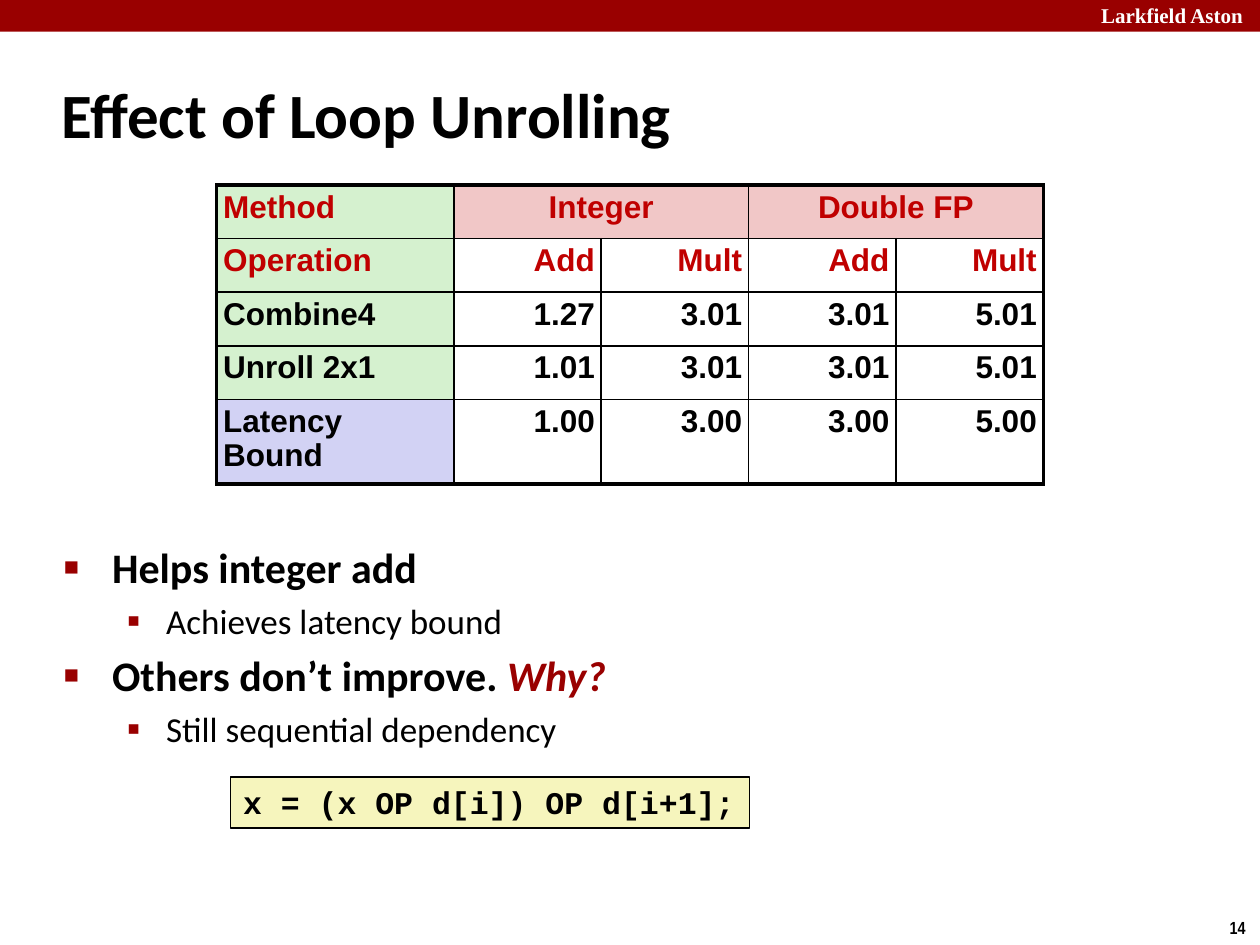
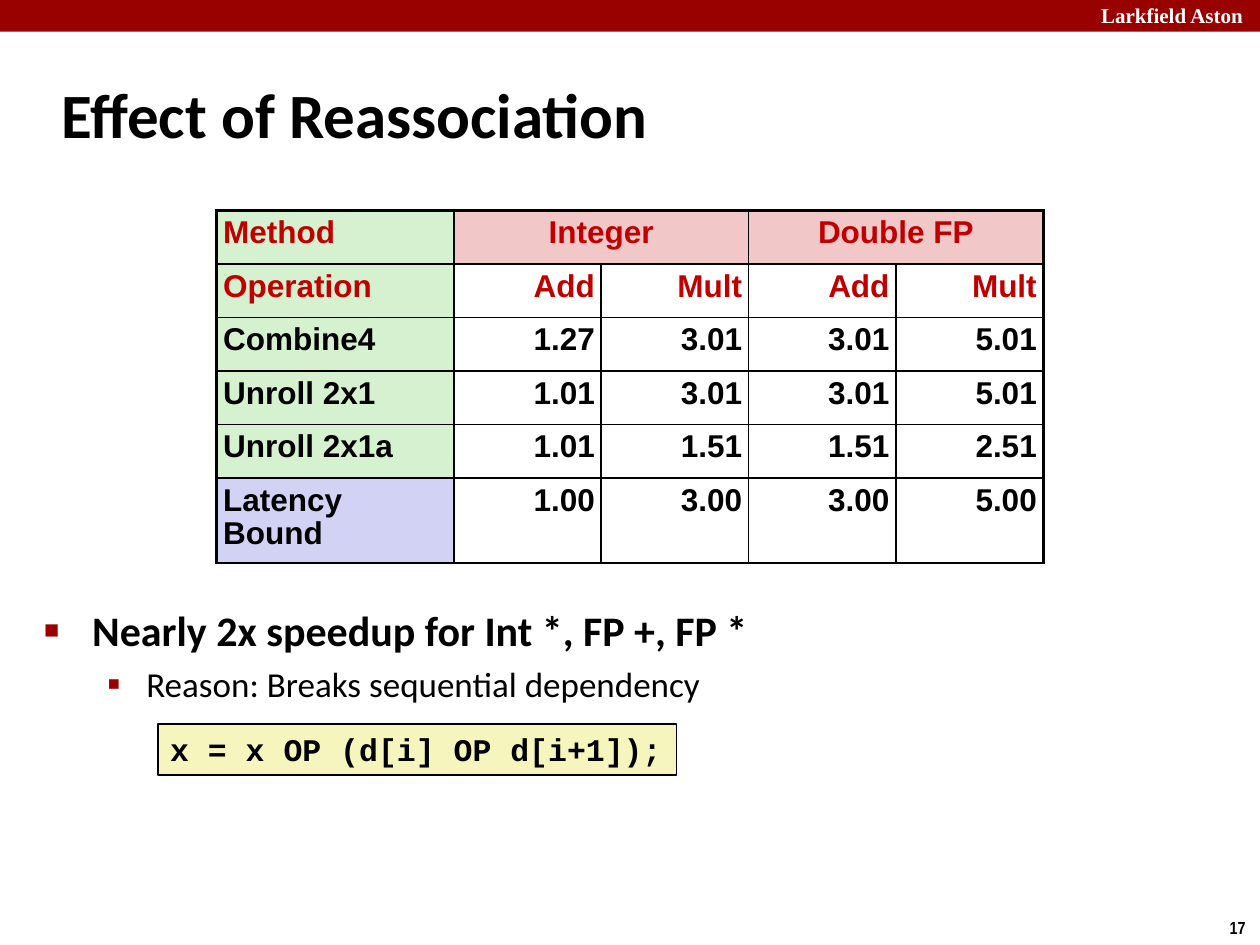
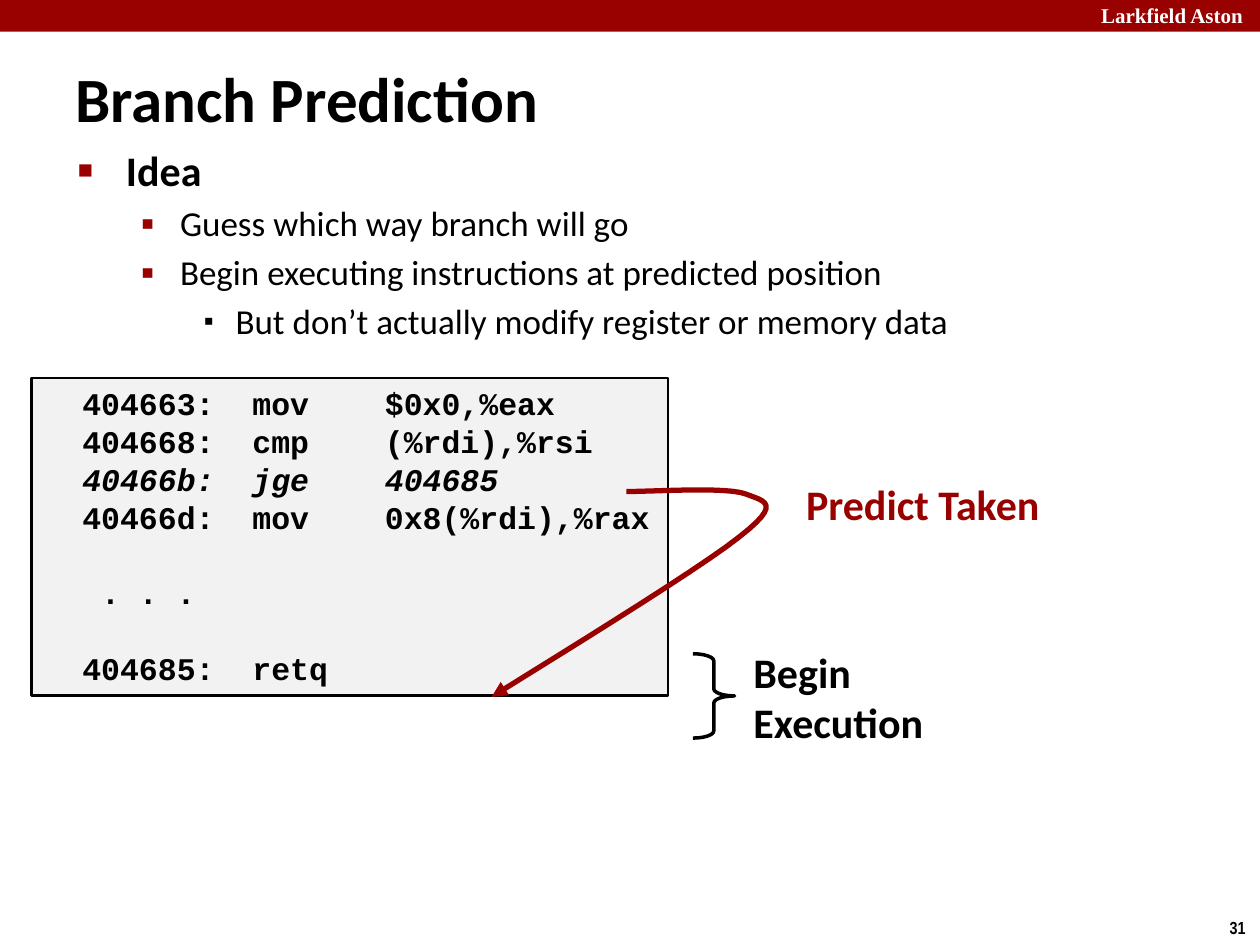
import pptx
import pptx.dml.color
import pptx.enum.shapes
import pptx.enum.text
import pptx.oxml
import pptx.oxml.ns
import pptx.util
import lxml.etree

Cm = pptx.util.Cm
Pt = pptx.util.Pt
SHAPES = pptx.enum.shapes.MSO_SHAPE
ALIGN = pptx.enum.text.PP_ALIGN
ANCHOR = pptx.enum.text.MSO_ANCHOR

# Shared colours
RED, BLACK, WHITE = "990000", "000000", "FFFFFF"
HEADING_RED, GREEN, PINK, LILAC = "C00000", "D5F1CF", "F1C7C7", "D2D2F4"
YELLOW, GREY = "F6F5BD", "F2F2F2"

# Shared text formats
OWNER = {"name": "Times New Roman", "size": Pt(12), "bold": True}
NUMBER = {"name": "Arial Narrow", "size": Pt(10), "bold": True}
TITLE = {"name": "Calibri", "size": Pt(36), "bold": True}
LABEL = {"name": "Calibri", "size": Pt(24), "bold": True}
DETAIL = {"name": "Calibri", "size": Pt(20), "bold": False}
CODE = {"name": "Courier New", "size": Pt(18), "bold": True}
CELL = {"name": "Arial", "size": Pt(18), "bold": True}
CODE_PITCH = Pt(21.6)

# Outline levels: text format, left margin and hanging indent in cm, bullet
LEVELS = [
    {"format": LABEL, "margin": 0.97, "hang": 0.97, "mark": "■", "percent": 60, "colour": RED},
    {"format": DETAIL, "margin": 2.06, "hang": 0.79, "mark": "▪", "percent": 110, "colour": RED},
    {"format": DETAIL, "margin": 3.18, "hang": 0.64, "mark": "▪", "percent": 80, "colour": BLACK},
]


def colour_of(hex_string):
    return pptx.dml.color.RGBColor.from_string(hex_string)


def paint(target, hex_string):
    """Give a fill one solid colour."""
    target.solid()
    target.fore_color.rgb = colour_of(hex_string)


def add_node(parent, tag, **attributes):
    node = lxml.etree.SubElement(parent, pptx.oxml.ns.qn(tag))
    for key, value in attributes.items():
        node.set(key, str(value))
    return node


def add_span(para, words, formats, colour=BLACK):
    span = para.add_run()
    span.text = words
    for key, value in formats.items():
        setattr(span.font, key, value)
    span.font.color.rgb = colour_of(colour)


def next_para(frame, index):
    return frame.paragraphs[0] if index == 0 else frame.add_paragraph()


def add_text(page, box, lines, formats, colour=BLACK, wrap=True, anchor=ANCHOR.TOP):
    frame = page.shapes.add_textbox(*map(Cm, box)).text_frame
    frame.word_wrap = wrap
    frame.vertical_anchor = anchor
    for index, line in enumerate(lines):
        add_span(next_para(frame, index), line, formats, colour)


def add_box(page, kind, box, fill=None, line=None, width=1):
    shape = page.shapes.add_shape(kind, *map(Cm, box))
    shape.shadow.inherit = False
    outline(shape, fill, line, width)
    return shape


def outline(shape, fill, line, width):
    if fill:
        paint(shape.fill, fill)
    else:
        shape.fill.background()
    if line:
        paint(shape.line.fill, line)
        shape.line.width = Pt(width)
    else:
        shape.line.fill.background()


# Band, page number and title
def add_page(deck, number, title, title_box=(0.99, 1.22, 21.08, 2.11)):
    page = deck.slides.add_slide(deck.slide_layouts[6])
    add_box(page, SHAPES.RECTANGLE, (0, 0, 25.4, 0.64), RED)
    add_text(page, (21.95, -0.08, 3.63, 0.76), ["Larkfield Aston"], OWNER, WHITE)
    add_text(page, (24.54, 18.36, 0.86, 0.69), [str(number)], NUMBER, wrap=False)
    add_text(page, title_box, [title], TITLE, anchor=ANCHOR.MIDDLE)
    return page


# Bulleted outline: each item is a level followed by its text, then an accent
def add_outline(page, box, items):
    frame = page.shapes.add_textbox(*map(Cm, box)).text_frame
    frame.word_wrap = True
    for index, (depth, words, *accents) in enumerate(items):
        level = LEVELS[depth]
        para = next_para(frame, index)
        para.level = depth
        if index:
            para.space_before = Pt(level["format"]["size"].pt * 0.2)
        add_span(para, words, level["format"])
        for accent in accents:
            add_span(para, accent, {**level["format"], "italic": True}, RED)
        properties = para._p.get_or_add_pPr()
        properties.set("marL", str(Cm(level["margin"])))
        properties.set("indent", str(-Cm(level["hang"])))
        add_node(add_node(properties, "a:buClr"), "a:srgbClr", val=level["colour"])
        add_node(properties, "a:buSzPct", val=level["percent"] * 1000)
        add_node(properties, "a:buFont", typeface="Arial")
        add_node(properties, "a:buChar", char=level["mark"])


# Cycle table
def set_borders(cell, widths):
    properties = cell._tc.get_or_add_tcPr()
    for side, width in widths.items():
        edge = add_node(properties, "a:ln" + side, w=Pt(width))
        add_node(add_node(edge, "a:solidFill"), "a:srgbClr", val=BLACK)


def fill_cell(cell, words, align, fill, colour):
    for side in ("left", "right", "top", "bottom"):
        setattr(cell, "margin_" + side, Cm(0.13))
    paint(cell.fill, fill)
    para = cell.text_frame.paragraphs[0]
    para.alignment = align
    para.line_spacing = 0.95
    if words:
        add_span(para, words, CELL, colour)


def add_cycle_table(page, left, top, measures, bottom_width):
    rows = [
        ["Method", "Integer", "", "Double FP", ""],
        ["Operation", "Add", "Mult", "Add", "Mult"],
        *measures,
        ["Latency Bound", "1.00", "3.00", "3.00", "5.00"],
    ]
    widths = [4.78] + [2.97] * 4
    heights = [1.08] * (len(rows) - 1) + [1.7]
    frame = page.shapes.add_table(len(rows), len(widths), Cm(left), Cm(top),
                                  Cm(sum(widths)), Cm(sum(heights)))
    table = frame.table
    table.first_row = table.horz_banding = False
    for column, width in zip(table.columns, widths):
        column.width = Cm(width)
    for row, height in zip(table.rows, heights):
        row.height = Cm(height)
    for start in (1, 3):
        table.cell(0, start).merge(table.cell(0, start + 1))

    last = len(rows) - 1
    for r, row in enumerate(rows):
        for c, words in enumerate(row):
            cell = table.cell(r, c)
            set_borders(cell, {
                "L": 2.25 if c == 0 else 1,
                "R": 2.25 if c + cell.span_width >= len(widths) else 1,
                "T": 2.25 if r == 0 else 1,
                "B": bottom_width if r == last else 1,
            })
            if c == 0:
                align, fill = ALIGN.LEFT, LILAC if r == last else GREEN
            elif r == 0:
                align, fill = ALIGN.CENTER, PINK
            else:
                align, fill = ALIGN.RIGHT, WHITE
            fill_cell(cell, words, align, fill, HEADING_RED if r < 2 else BLACK)


# Code boxes
def add_code_box(page, box, fill, width=1, left_inset=0.25):
    shape = add_box(page, SHAPES.RECTANGLE, box, fill, BLACK, width)
    frame = shape.text_frame
    frame.word_wrap = True
    frame.vertical_anchor = ANCHOR.TOP
    frame.margin_left = Cm(left_inset)
    return frame


def add_code_line(para, words, **extra):
    para.alignment = ALIGN.LEFT
    para.line_spacing = CODE_PITCH
    add_span(para, words, {**CODE, **extra})


def add_statement(page, left, top, words):
    frame = add_code_box(page, (left, top, 10.46, 1.02), YELLOW)
    add_code_line(frame.paragraphs[0], words)


def add_listing(page, box):
    frame = add_code_box(page, box, GREY, 1.5, left_inset=1.02)
    lines = [
        ("404663:\tmov\t$0x0,%eax", {}),
        ("404668:\tcmp\t(%rdi),%rsi", {}),
        ("40466b:\tjge\t404685", {"italic": True}),
        ("40466d:\tmov\t0x8(%rdi),%rax", {}),
        (". . .", {}),
        ("404685:\tretq", {}),
    ]
    for index, (words, extra) in enumerate(lines):
        para = next_para(frame, index)
        if index >= 4:
            para.space_before = CODE_PITCH
        add_code_line(para, words, **extra)
        properties = para._p.get_or_add_pPr()
        if words == ". . .":
            properties.set("marL", str(Cm(0.38)))
            properties.set("indent", "0")
        stops = add_node(properties, "a:tabLst")
        for stop in (3.43, 6.1):
            add_node(stops, "a:tab", pos=Cm(stop), algn="l")


# Jump arrow: points relative to the left and top given, arrowhead at the start
def curve_points(start, curves, steps=12):
    points = [start]
    for first, second, end in curves:
        for step in range(1, steps + 1):
            t = step / steps
            weights = ((1 - t) ** 3, 3 * t * (1 - t) ** 2, 3 * t * t * (1 - t), t ** 3)
            corners = (start, first, second, end)
            points.append(tuple(sum(w * corner[axis] for w, corner in zip(weights, corners))
                                for axis in (0, 1)))
        start = end
    return points


def add_jump_arrow(page, left, top):
    points = curve_points((0, 4.14), [
        ((0.84, 3.61), (4.14, 1.6), (5, 0.91)),
        ((5.87, 0.23), (5.51, 0.2), (5.13, 0.05)),
        ((4.75, -0.1), (3.23, 0), (2.72, 0)),
    ])
    places = [(Cm(left + x), Cm(top + y)) for x, y in points]
    builder = page.shapes.build_freeform(*places[0])
    builder.add_line_segments(places[1:], close=False)
    arrow = builder.convert_to_shape()
    arrow.shadow.inherit = False
    outline(arrow, None, RED, 3)
    add_node(arrow.line._get_or_add_ln(), "a:headEnd", type="triangle")


# Slides
def build_unrolling(deck):
    page = add_page(deck, 14, "Effect of Loop Unrolling")
    add_outline(page, (1.04, 10.8, 23.09, 7.42), [
        (0, "Helps integer add"),
        (1, "Achieves latency bound"),
        (0, "Others don’t improve. ", "Why?"),
        (1, "Still sequential dependency"),
    ])
    add_statement(page, 4.65, 15.67, "x = (x OP d[i]) OP d[i+1];")
    add_cycle_table(page, 4.37, 3.73, MEASURES[:2], 2.25)


def build_reassociation(deck):
    page = add_page(deck, 17, "Effect of Reassociation")
    add_outline(page, (0.64, 12.07, 23.09, 5.28), [
        (0, "Nearly 2x speedup for Int *, FP +, FP *"),
        (1, "Reason: Breaks sequential dependency"),
    ])
    add_statement(page, 3.18, 14.6, "x = x OP (d[i] OP d[i+1]);")
    add_cycle_table(page, 4.37, 4.24, MEASURES, 1)


def build_prediction(deck):
    page = add_page(deck, 31, "Branch Prediction", (1.27, 1.17, 15.65, 1.6))
    add_outline(page, (1.32, 2.79, 23.09, 5.69), [
        (0, "Idea"),
        (1, "Guess which way branch will go"),
        (1, "Begin executing instructions at predicted position"),
        (2, "But don’t actually modify register or memory data"),
    ])
    add_text(page, (16, 9.53, 5.26, 1.27), ["Predict Taken"], LABEL, RED, wrap=False)
    brace = add_box(page, SHAPES.RIGHT_BRACE, (13.97, 13.18, 0.84, 1.7), None, BLACK, 2)
    brace.adjustments[0] = 0.17
    add_text(page, (14.94, 12.9, 3.96, 2.31), ["Begin", "Execution"], LABEL, wrap=False)
    add_listing(page, (0.64, 7.62, 12.83, 6.4))
    add_jump_arrow(page, 9.91, 9.91)


# Cycles per element for each method
MEASURES = [
    ["Combine4", "1.27", "3.01", "3.01", "5.01"],
    ["Unroll 2x1", "1.01", "3.01", "3.01", "5.01"],
    ["Unroll 2x1a", "1.01", "1.51", "1.51", "2.51"],
]


def main():
    deck = pptx.Presentation()
    deck.slide_width, deck.slide_height = Cm(25.4), Cm(19.05)
    for build in (build_unrolling, build_reassociation, build_prediction):
        build(deck)
    deck.save("out.pptx")


if __name__ == "__main__":
    main()
